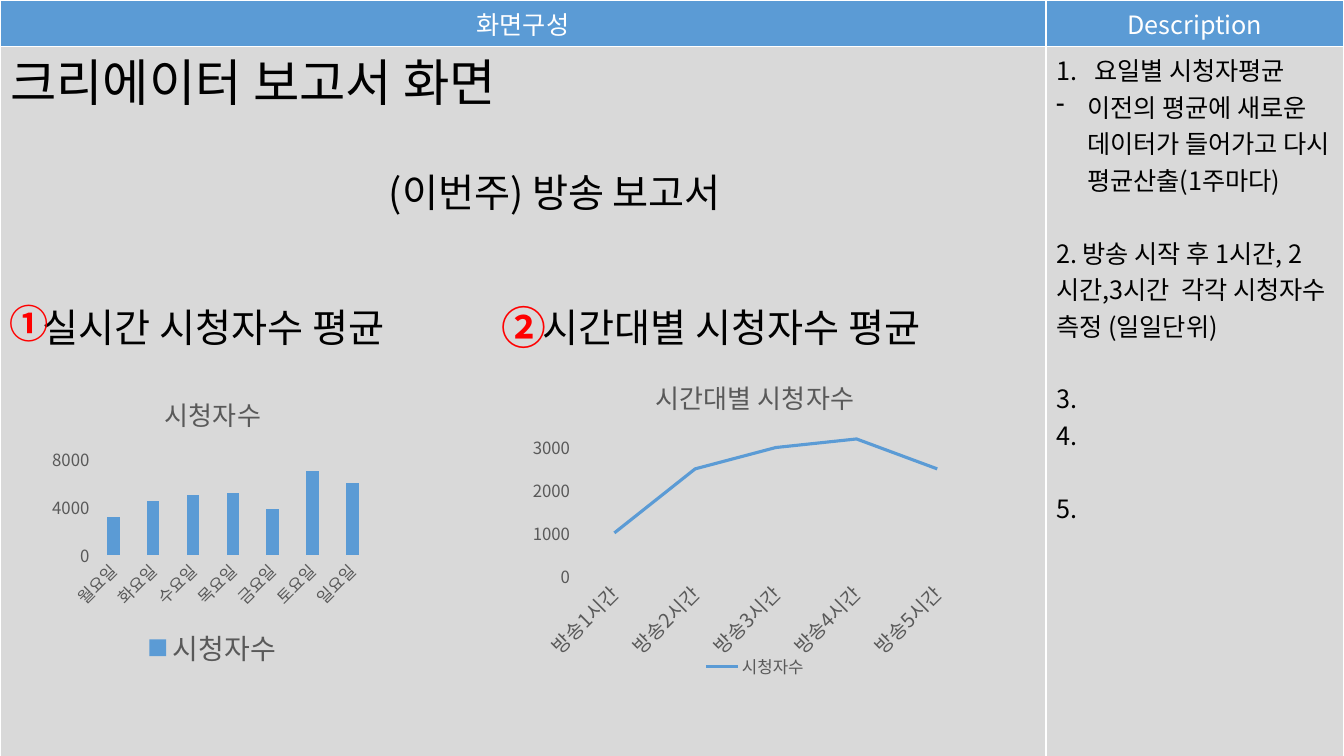
from lxml.etree import SubElement
from pptx import Presentation
from pptx.chart.data import CategoryChartData
from pptx.dml.color import RGBColor
from pptx.enum.chart import XL_CHART_TYPE, XL_LEGEND_POSITION, XL_TICK_MARK
from pptx.enum.text import MSO_ANCHOR, MSO_AUTO_SIZE, PP_ALIGN
from pptx.oxml import parse_xml
from pptx.oxml.ns import nsdecls, qn
from pptx.util import Emu, Pt

FONT = "Noto Sans CJK KR"
BLUE, GREY, BLACK, WHITE = "5B9BD5", "D9D9D9", "000000", "FFFFFF"
CHART_TEXT, RED = "595959", "FF0000"


def px(length):
    return Emu(round(length * 914400 / 100.8))


def color(hex_string):
    return RGBColor.from_string(hex_string)


def style_font(font, size, hex_string, bold=False):
    """Set the same typeface for Latin and Korean text."""
    font.size = Pt(size)
    font.bold = bold
    font.color.rgb = color(hex_string)
    font.name = FONT
    latin = font._rPr.find(qn("a:latin"))
    latin.addnext(parse_xml(f'<a:ea {nsdecls("a")} typeface="{FONT}"/>'))


def add_run(paragraph, text, size, hex_string, bold=False):
    run = paragraph.add_run()
    run.text = text
    style_font(run.font, size, hex_string, bold)


def add_title(slide, left, top, width, height, text):
    title = slide.shapes.title
    title.left, title.top, title.width, title.height = map(px, (left, top, width, height))
    frame = title.text_frame
    frame.word_wrap = False
    frame.auto_size = MSO_AUTO_SIZE.NONE
    frame.vertical_anchor = MSO_ANCHOR.TOP
    paragraph = frame.paragraphs[0]
    paragraph.alignment = PP_ALIGN.LEFT
    add_run(paragraph, text, 36, BLACK)


def add_text(slide, left, top, width, height, text, size=28, hex_string=BLACK, bold=False):
    box = slide.shapes.add_textbox(*map(px, (left, top, width, height)))
    box.text_frame.word_wrap = False
    add_run(box.text_frame.paragraphs[0], text, size, hex_string, bold)


def set_bullet(paragraph, indent, tag, **attributes):
    properties = paragraph._p.get_or_add_pPr()
    properties.set("marL", str(px(indent)))
    properties.set("indent", str(-px(indent)))
    SubElement(properties, qn(tag), attributes)


def fill_description(cell):
    """Write the notes; a gap of one line opens each new group."""
    line = 26
    notes = [
        ("요일별 시청자평균", 0),
        ("이전의 평균에 새로운 데이터가 들어가고 다시 평균산출(1주마다)", 0),
        ("2. 방송 시작 후 1시간, 2시간,3시간  각각 시청자수 측정 (일일단위)", line),
        ("3.", line),
        ("4.", 0),
        ("5.", line),
    ]
    frame = cell.text_frame
    for index, (text, gap) in enumerate(notes):
        paragraph = frame.add_paragraph() if index else frame.paragraphs[0]
        paragraph.space_before = Pt(gap)
        add_run(paragraph, text, 18, BLACK)
    set_bullet(frame.paragraphs[0], 38, "a:buAutoNum", type="arabicPeriod")
    set_bullet(frame.paragraphs[1], 31, "a:buChar", char="-")


def add_layout_table(slide, left, top, width, height):
    table = slide.shapes.add_table(2, 2, *map(px, (left, top, width, height))).table
    table.horz_banding = False
    header, description = 44, 298
    table.columns[0].width, table.columns[1].width = px(width - description), px(description)
    table.rows[0].height, table.rows[1].height = px(header), px(height - header)
    for column, heading in enumerate(("화면구성", "Description")):
        for row, fill in enumerate((BLUE, GREY)):
            cell = table.cell(row, column)
            cell.fill.solid()
            cell.fill.fore_color.rgb = color(fill)
        paragraph = table.cell(0, column).text_frame.paragraphs[0]
        paragraph.alignment = PP_ALIGN.CENTER
        add_run(paragraph, heading, 18, WHITE)
    fill_description(table.cell(1, 1))


def place_plot(chart, box, plot):
    """Fix the inner plot area, both boxes given in slide px."""
    left, top, width, height = box
    fractions = {
        "x": (plot[0] - left) / width,
        "y": (plot[1] - top) / height,
        "w": plot[2] / width,
        "h": plot[3] / height,
    }
    sizes = "".join(f'<c:{key} val="{value:.2f}"/>' for key, value in fractions.items())
    layout = parse_xml(
        f'<c:layout {nsdecls("c")}><c:manualLayout><c:layoutTarget val="inner"/>'
        f'<c:xMode val="edge"/><c:yMode val="edge"/>{sizes}</c:manualLayout></c:layout>'
    )
    plot_area = chart._chartSpace.chart.plotArea
    for previous in plot_area.findall(qn("c:layout")):
        plot_area.remove(previous)
    plot_area.insert(0, layout)


def add_viewer_chart(slide, kind, box, plot, title, values, label_size, legend_size, maximum, step):
    """Add a one-series chart; values maps each category to its viewers."""
    data = CategoryChartData()
    data.categories = list(values)
    data.add_series("시청자수", list(values.values()))
    chart = slide.shapes.add_chart(kind, *map(px, box), data).chart
    style_font(chart.font, 10, BLACK)
    chart.has_title = True
    add_run(chart.chart_title.text_frame.paragraphs[0], title, 18.6, CHART_TEXT)
    chart.chart_title.include_in_layout = False
    chart.has_legend = True
    chart.legend.position = XL_LEGEND_POSITION.BOTTOM
    chart.legend.include_in_layout = False
    style_font(chart.legend.font, legend_size, CHART_TEXT)

    category_axis, value_axis = chart.category_axis, chart.value_axis
    for axis, size in ((category_axis, label_size), (value_axis, 12)):
        axis.major_tick_mark = axis.minor_tick_mark = XL_TICK_MARK.NONE
        style_font(axis.tick_labels.font, size, CHART_TEXT)
    value_axis.has_major_gridlines = True
    for line in (category_axis.format.line, value_axis.major_gridlines.format.line):
        line.color.rgb = color(GREY)
        line.width = Pt(0.75)
    value_axis.format.line.fill.background()
    value_axis.minimum_scale, value_axis.maximum_scale = 0, maximum
    value_axis.major_unit = step

    chart.plots[0].vary_by_categories = False
    series = chart.plots[0].series[0]
    if kind == XL_CHART_TYPE.LINE:
        series.smooth = False
        series.format.line.color.rgb = color(BLUE)
        series.format.line.width = Pt(2.25)
    else:
        chart.plots[0].gap_width, chart.plots[0].overlap = 219, -27
        series.format.fill.solid()
        series.format.fill.fore_color.rgb = color(BLUE)
    place_plot(chart, box, plot)


def add_weekday_report(slide, left, top):
    add_text(slide, left + 33, top + 4, 404, 57, "실시간 시청자수 평균")
    weekdays = [day + "요일" for day in "월화수목금토일"]
    viewers = [3200, 4500, 5000, 5200, 3800, 7000, 6000]
    add_viewer_chart(
        slide, XL_CHART_TYPE.COLUMN_CLUSTERED, (left + 47, top + 82, 332, 298),
        (left + 95, top + 166, 278, 94), "시청자수", dict(zip(weekdays, viewers)),
        12, 20, 8000, 4000)
    add_text(slide, left, top, 56, 57, "①", 28, RED, True)


def add_hourly_report(slide, left, top):
    add_text(slide, left + 41, top + 3, 445, 57, "시간대별 시청자수 평균")
    viewers = [1000, 2500, 3000, 3200, 2500]
    hours = {f"방송{hour}시간": count for hour, count in enumerate(viewers, 1)}
    add_viewer_chart(
        slide, XL_CHART_TYPE.LINE, (left + 31, top + 63, 464, 325),
        (left + 82, top + 130, 402, 149), "시간대별 시청자수", hours,
        14, 12, 3500, 1000)
    add_text(slide, left, top, 212, 65, "②", 32, RED, True)


def main():
    presentation = Presentation()
    presentation.slide_width, presentation.slide_height = px(1344), px(756)
    slide = presentation.slides.add_slide(presentation.slide_layouts[5])
    add_layout_table(slide, 0, 0, 1344, 756)
    add_title(slide, 0, 46, 601, 72, "크리에이터 보고서 화면")
    # The table is added after the title placeholder, so bring the title forward.
    slide.shapes._spTree.append(slide.shapes.title._element)
    add_text(slide, 379, 163, 389, 57, "(이번주) 방송 보고서")
    add_weekday_report(slide, 0, 294)
    add_hourly_report(slide, 492, 295)
    presentation.save("out.pptx")


if __name__ == "__main__":
    main()
